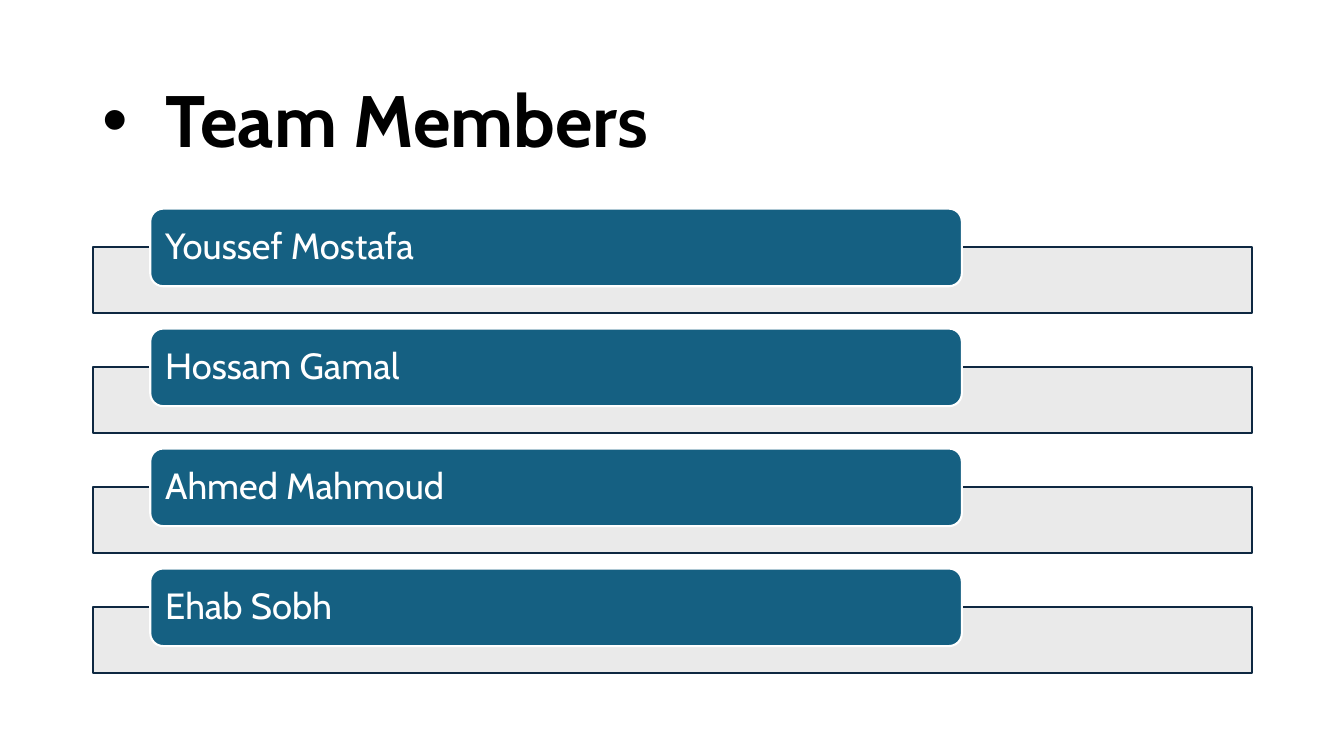
from lxml import etree
from pptx import Presentation
from pptx.dml.color import RGBColor
from pptx.enum.shapes import MSO_SHAPE
from pptx.enum.text import MSO_ANCHOR, PP_ALIGN
from pptx.oxml.ns import qn
from pptx.util import Inches, Pt

RECT, PILL = MSO_SHAPE.RECTANGLE, MSO_SHAPE.ROUNDED_RECTANGLE
MIDDLE, LEFT = MSO_ANCHOR.MIDDLE, PP_ALIGN.LEFT
BLACK = RGBColor(0x00, 0x00, 0x00)
WHITE = RGBColor(0xFF, 0xFF, 0xFF)
GREY = RGBColor(0xE8, 0xE8, 0xE8)
NAVY = RGBColor(0x0E, 0x28, 0x41)
TEAL = RGBColor(0x15, 0x60, 0x82)

MARGIN, CONTENT_W = 0.92, 11.5
FIRST_ROW, ROW_PITCH = 2.07, 1.19
PILL_X, PILL_W, PILL_H = 1.49, 8.05, 0.77
BAR_DROP, BAR_H = 0.38, 0.66
MEMBERS = ["Youssef Mostafa", "Hossam Gamal", "Ahmed Mahmoud", "Ehab Sobh"]


def add_box(kind, x, y, w, h, fill, line):
    sp = s.shapes.add_shape(kind, Inches(x), Inches(y), Inches(w), Inches(h))
    sp.shadow.inherit = False
    sp.fill.solid()
    sp.fill.fore_color.rgb = fill
    sp.line.color.rgb = line
    sp.line.width = Pt(1.5)
    return sp


def write(sp, text, color, **font):
    tf = sp.text_frame
    tf.word_wrap = True
    tf.vertical_anchor = MIDDLE
    p = tf.paragraphs[0]
    p.alignment = LEFT
    p.line_spacing = 0.9
    r = p.add_run()
    r.text = text
    r.font.color.rgb = color
    for name, value in {"name": "Cabin", **font}.items():
        setattr(r.font, name, value)
    return p


prs = Presentation()
prs.slide_width, prs.slide_height = Inches(13.33), Inches(7.5)
s = prs.slides.add_slide(prs.slide_layouts[5])

title = s.shapes.title
title.left, title.top = Inches(MARGIN), Inches(0.61)
title.width, title.height = Inches(CONTENT_W), Inches(1.24)
p = write(title, "Team Members", BLACK, size=Pt(52), bold=True)
pPr = p._p.get_or_add_pPr()
pPr.set("marL", str(Inches(0.62)))
pPr.set("indent", str(-Inches(0.62)))
etree.SubElement(pPr, qn("a:buFont"), typeface="Arial")
etree.SubElement(pPr, qn("a:buChar"), char="•")

for i, member in enumerate(MEMBERS):
    y = FIRST_ROW + i * ROW_PITCH
    bar = add_box(RECT, MARGIN, y + BAR_DROP, CONTENT_W, BAR_H, GREY, NAVY)
    bar_color = bar.fill._xPr.find(qn("a:solidFill"))[0]
    etree.SubElement(bar_color, qn("a:alpha"), val="90000")

    pill = add_box(PILL, PILL_X, y, PILL_W, PILL_H, TEAL, WHITE)
    pill.text_frame.margin_left = pill.text_frame.margin_right = Inches(0.11)
    write(pill, member, WHITE, size=Pt(26))

prs.save("out.pptx")
